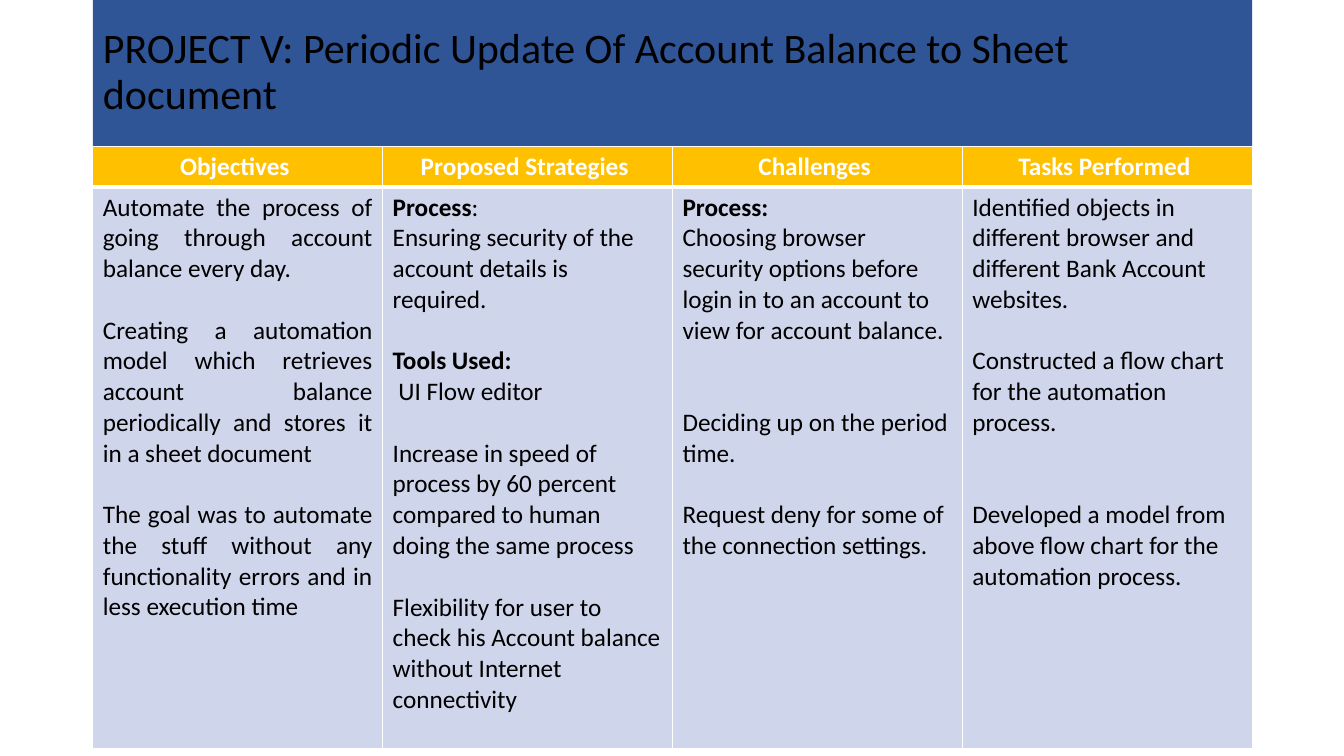
from lxml.etree import SubElement
from pptx import Presentation
from pptx.dml.color import RGBColor
from pptx.enum.text import MSO_ANCHOR, MSO_AUTO_SIZE, PP_ALIGN
from pptx.oxml.ns import qn
from pptx.util import Inches, Pt

HUES = {"blue": "2F5597", "gold": "FFC000", "pale": "CFD5EA", "white": "FFFFFF", "black": "000000"}
FONT = "Calibri"
LINE = 22
LEFT, WIDTH, TOP = 0.92, 11.5, 1.45

# Each paragraph: blank lines above, bold text, plain text.
COLUMNS = [
    ("Objectives", PP_ALIGN.JUSTIFY, [
        (0, "", "Automate the process of going through account balance every day."),
        (1, "", "Creating a automation model which retrieves account balance periodically "
                "and stores it in a sheet document "),
        (1, "", "The goal was to automate the stuff without any functionality errors "
                "and in less execution time "),
    ]),
    ("Proposed Strategies", PP_ALIGN.LEFT, [
        (0, "Process", ":"),
        (0, "", "Ensuring security of the account details is required. "),
        (1, "Tools Used:", ""),
        (0, "", " UI Flow editor "),
        (1, "", "Increase in speed of process by 60 percent compared to human doing the same process"),
        (1, "", "Flexibility for user to check his Account balance without Internet connectivity"),
    ]),
    ("Challenges", PP_ALIGN.LEFT, [
        (0, "Process:", ""),
        (0, "", "Choosing browser security options before login in to an account "
                "to view for account balance."),
        (2, "", "Deciding up on the period time. "),
        (1, "", "Request deny for some of the connection settings. "),
    ]),
    ("Tasks Performed", PP_ALIGN.LEFT, [
        (0, "", "Identified objects in different browser and different Bank Account websites."),
        (1, "", "Constructed a flow chart for the automation process."),
        (2, "", "Developed a model from above flow chart for the automation process."),
    ]),
]


def paint(item, hue):
    item.fill.solid()
    item.fill.fore_color.rgb = RGBColor.from_string(HUES[hue])


def write(para, text, size, hue, bold=False):
    run = para.add_run()
    run.text = text
    font = run.font
    font.name, font.size, font.bold = FONT, Pt(size), bold
    font.color.rgb = RGBColor.from_string(HUES[hue])


def edge(cell, top, base):
    props = cell._tc.get_or_add_tcPr()
    sides = {"a:lnL": 1, "a:lnR": 1, "a:lnT": top, "a:lnB": base}
    for spot, (tag, width) in enumerate(sides.items()):
        line = SubElement(props, qn(tag), w=str(Pt(width)))
        fill = SubElement(line, qn("a:solidFill"))
        SubElement(fill, qn("a:srgbClr"), val=HUES["white"])
        props.insert(spot, line)


def add_title(slide, text):
    title = slide.shapes.title
    title.left, title.top = Inches(LEFT), Inches(0)
    title.width, title.height = Inches(WIDTH), Inches(TOP)
    paint(title, "blue")
    frame = title.text_frame
    frame.auto_size = MSO_AUTO_SIZE.NONE
    frame.word_wrap = True
    frame.vertical_anchor = MSO_ANCHOR.MIDDLE
    para = frame.paragraphs[0]
    para.alignment = PP_ALIGN.LEFT
    para.line_spacing = 0.9
    write(para, text, 30, "black")


def fill_head(cell, text):
    paint(cell, "gold")
    edge(cell, 1, 3)
    para = cell.text_frame.paragraphs[0]
    para.alignment = PP_ALIGN.CENTER
    write(para, text + " ", 18, "white", True)


def fill_body(cell, align, items):
    paint(cell, "pale")
    edge(cell, 3, 1)
    frame = cell.text_frame
    for spot, (gap, bold, plain) in enumerate(items):
        para = frame.add_paragraph() if spot else frame.paragraphs[0]
        para.alignment = align
        para.space_before = Pt(gap * LINE)
        if bold:
            write(para, bold, 18, "black", True)
        if plain:
            write(para, plain, 18, "black")


def add_grid(slide):
    heights = (0.4, 5.57)
    frame = slide.shapes.add_table(2, len(COLUMNS), Inches(LEFT), Inches(TOP),
                                   Inches(WIDTH), Inches(sum(heights)))
    table = frame.table
    for row, height in zip(table.rows, heights):
        row.height = Inches(height)
    for col, (head, align, items) in enumerate(COLUMNS):
        fill_head(table.cell(0, col), head)
        fill_body(table.cell(1, col), align, items)


def main():
    deck = Presentation()
    deck.slide_width, deck.slide_height = Inches(13.33), Inches(7.5)
    slide = deck.slides.add_slide(deck.slide_layouts[5])
    add_title(slide, "PROJECT V: Periodic Update Of Account Balance to Sheet document")
    add_grid(slide)
    deck.save("out.pptx")


main()
